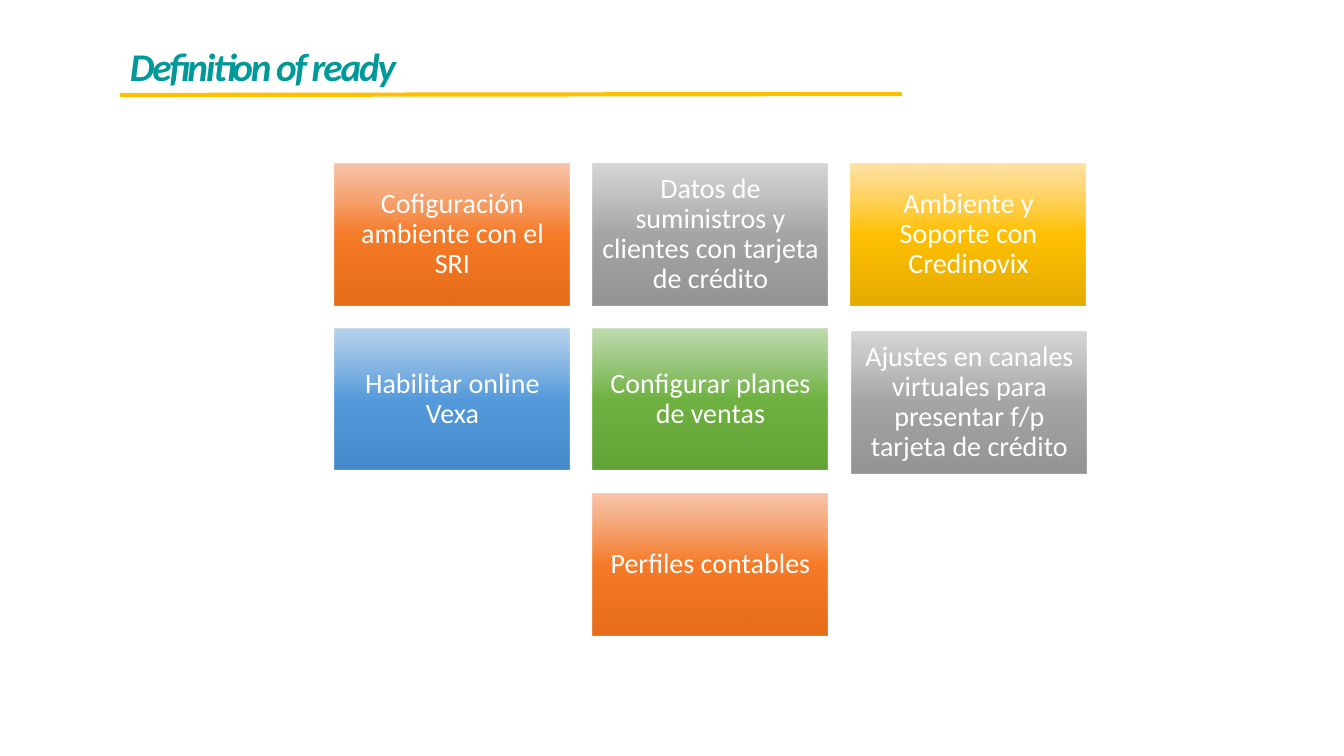
"""Build the "Definition of ready" slide: a ruled title over a grid of gradient tiles."""
import dataclasses

import lxml.etree
import pptx
import pptx.dml.color
import pptx.enum.shapes
import pptx.enum.text
import pptx.oxml
import pptx.oxml.ns
import pptx.util

ALIGN = pptx.enum.text.PP_ALIGN
ANCHOR = pptx.enum.text.MSO_ANCHOR
AUTO_SIZE = pptx.enum.text.MSO_AUTO_SIZE


@dataclasses.dataclass(frozen=True)
class Theme:
    font: str = "Calibri"
    title_color: str = "009999"
    rule_color: str = "FFC000"
    tile_text: str = "FFFFFF"
    title_size: int = 28
    tile_size: int = 20
    rule_width: int = 3
    orange: tuple = ("F18C57", "F67B28", "E56C19")
    gray: tuple = ("AFAFAF", "A5A5A5", "939393")
    gold: tuple = ("FFC64B", "FFC000", "E3AB00")
    blue: tuple = ("71A6DB", "559BDB", "448ACA")
    green: tuple = ("81B861", "6FB242", "62A336")


def px(n):
    return pptx.util.Emu(round(n * 914400 / 100.8))


def rgb(value):
    return pptx.dml.color.RGBColor.from_string(value)


def apply(obj, values):
    for name, value in values.items():
        setattr(obj, name, value)


class Deck:
    def __init__(self, theme, width, height):
        self.theme = theme
        self.prs = pptx.Presentation()
        apply(self.prs, {"slide_width": px(width), "slide_height": px(height)})
        self.s = self.prs.slides.add_slide(self.prs.slide_layouts[6])

    def text(self, tf, text, size, color, **font):
        p = tf.paragraphs[0]
        r = p.add_run()
        r.text = text
        apply(r.font, {"name": self.theme.font, "size": pptx.util.Pt(size), **font})
        r.font.color.rgb = rgb(color)
        return p, r

    def title(self, text, x, y, w, h):
        tf = self.s.shapes.add_textbox(px(x), px(y), px(w), px(h)).text_frame
        apply(tf, {"word_wrap": False, "auto_size": AUTO_SIZE.SHAPE_TO_FIT_TEXT})
        p, r = self.text(tf, text, self.theme.title_size, self.theme.title_color,
                         bold=True, italic=True)
        r._r.get_or_add_rPr().set("spc", "-150")

    def rule(self, x1, y1, x2, y2):
        line = self.s.shapes.add_connector(
            pptx.enum.shapes.MSO_CONNECTOR.STRAIGHT, px(x1), px(y1), px(x2), px(y2))
        line.line.color.rgb = rgb(self.theme.rule_color)
        line.line.width = pptx.util.Pt(self.theme.rule_width)
        lxml.etree.SubElement(line._element.spPr, pptx.oxml.ns.qn("a:effectLst"))

    def gradient(self, sp, colors):
        sp.fill.gradient()
        old = sp._element.spPr.find(pptx.oxml.ns.qn("a:gradFill"))
        alphas = ('<a:alpha val="50000"/>', "", "")
        stops = "".join(
            f'<a:gs pos="{i * 50000}"><a:srgbClr val="{color}">{alpha}</a:srgbClr></a:gs>'
            for i, (color, alpha) in enumerate(zip(colors, alphas)))
        new = pptx.oxml.parse_xml(
            f'<a:gradFill {pptx.oxml.ns.nsdecls("a")} rotWithShape="1">'
            f'<a:gsLst>{stops}</a:gsLst><a:lin ang="5400000" scaled="0"/></a:gradFill>')
        old.getparent().replace(old, new)

    def tile(self, text, colors, x, y, w, h):
        sp = self.s.shapes.add_shape(
            pptx.enum.shapes.MSO_SHAPE.RECTANGLE, px(x), px(y), px(w), px(h))
        sp.shadow.inherit = False
        self.gradient(sp, colors)
        sp.line.fill.background()
        tf = sp.text_frame
        sides = ("left", "top", "right", "bottom")
        apply(tf, {f"margin_{side}": px(8) for side in sides})
        apply(tf, {"word_wrap": True, "vertical_anchor": ANCHOR.MIDDLE})
        p, r = self.text(tf, text, self.theme.tile_size, self.theme.tile_text)
        apply(p, {"alignment": ALIGN.CENTER, "line_spacing": 0.9})


def main():
    theme = Theme()
    deck = Deck(theme, 1344, 756)
    deck.rule(120, 95, 902, 94)
    deck.title("Definition of ready", 120, 37, 287, 57)

    left, top, width, height = 335, 164, 235, 141
    col_step, row_step = 258, 165
    tiles = [
        ("Cofiguración ambiente con el SRI", theme.orange, 0, 0, 0, 0),
        ("Datos de suministros y clientes con tarjeta de crédito", theme.gray, 1, 0, 0, 0),
        ("Ambiente y Soporte con Credinovix", theme.gold, 2, 0, 0, 0),
        ("Habilitar online Vexa", theme.blue, 0, 1, 0, 0),
        ("Configurar planes de ventas", theme.green, 1, 1, 0, 0),
        ("Ajustes en canales virtuales para presentar f/p tarjeta de crédito",
         theme.gray, 2, 1, 1, 3),
        ("Perfiles contables", theme.orange, 1, 2, 0, 0),
    ]
    for text, colors, col, row, dx, dy in tiles:
        deck.tile(text, colors, left + col * col_step + dx, top + row * row_step + dy,
                  width, height)
    deck.prs.save("out.pptx")


if __name__ == "__main__":
    main()
